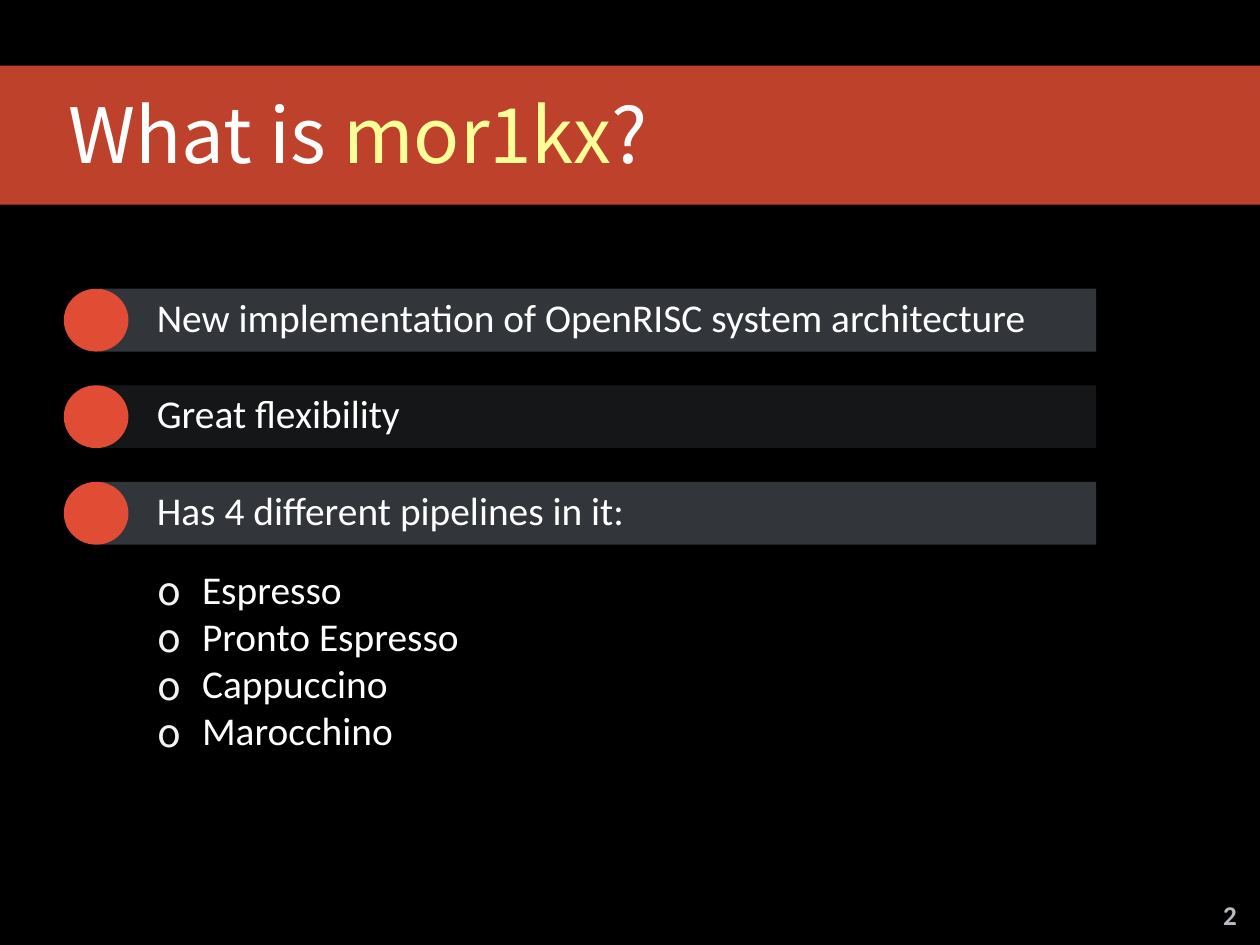
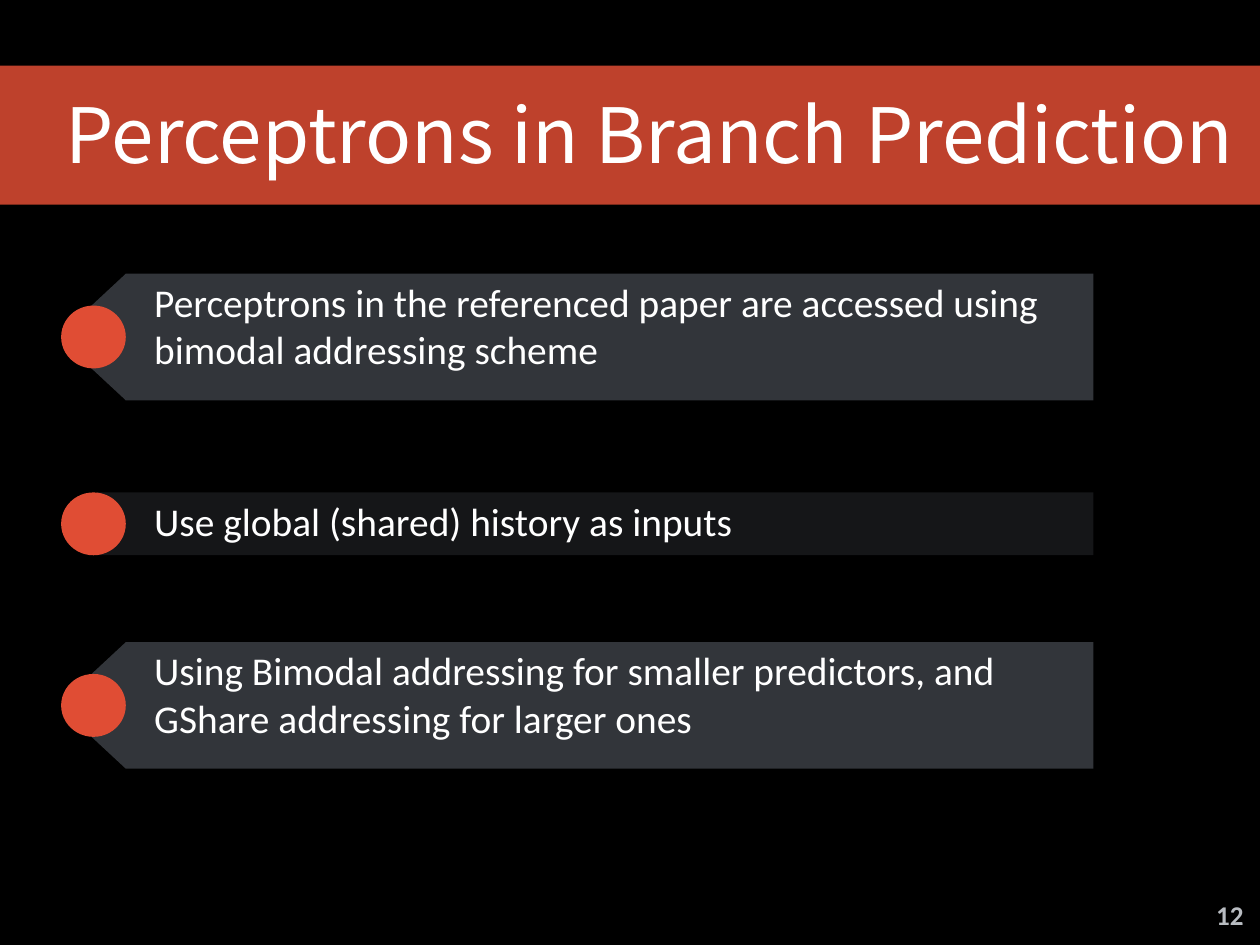
from dataclasses import dataclass

from lxml.etree import SubElement as Sub
from pptx import Presentation
from pptx.dml.color import RGBColor as RGB
from pptx.enum.shapes import MSO_SHAPE as Kind
from pptx.enum.text import MSO_ANCHOR as Anchor, PP_ALIGN as Align
from pptx.oxml.ns import qn
from pptx.util import Inches, Pt


@dataclass(frozen=True)
class Theme:
    back: str = "000000"
    accent: str = "E04D34"
    bar: str = "32353A"
    dim: str = "151618"
    white: str = "FFFFFF"
    mark: str = "FFFF99"
    bullet: str = "F2F2F2"
    page: str = "B8BCC1"
    head: str = "Noto Sans CJK SC"
    body: str = "Calibri"
    big: int = 62
    text: int = 32
    small: int = 22


T = Theme()
WIDE, HIGH = 14.22, 10.67
ROW = 0.71  # height of a one-line bar
DOT = 0.73  # width of a dot
TIP = 0.55  # depth of the slanted end of a tall bar


def shape(slide, kind, x, y, w, h, color, alpha=None):
    """Draw a plain filled shape without outline or shadow."""
    item = slide.shapes.add_shape(kind, Inches(x), Inches(y), Inches(w), Inches(h))
    item.shadow.inherit = False
    item.line.fill.background()
    item.fill.solid()
    item.fill.fore_color.rgb = RGB.from_string(color)
    if alpha:
        tone = item.fill._xPr.find(".//" + qn("a:srgbClr"))
        Sub(tone, qn("a:alpha"), val=str(alpha * 1000))
    return item


def dot_list(para):
    """Give a paragraph a round bullet and a hanging indent."""
    props = para._p.get_or_add_pPr()
    props.set("marL", str(Inches(0.5)))
    props.set("indent", str(-Inches(0.5)))
    Sub(Sub(props, qn("a:buClr")), qn("a:srgbClr"), val=T.bullet)
    Sub(props, qn("a:buFont"), typeface=T.head)
    Sub(props, qn("a:buChar"), char="o")


def write(slide, lines, x, y, w, h, font=T.body, size=T.text, color=T.white,
          bold=False, align=Align.LEFT, anchor=Anchor.TOP, inset=0.05,
          wrap=True, bullet=False):
    """Write lines; each is a string or a list of (text, color) runs."""
    frame = slide.shapes.add_textbox(
        Inches(x), Inches(y), Inches(w), Inches(h)).text_frame
    frame.word_wrap = wrap
    frame.vertical_anchor = anchor
    frame.margin_left = frame.margin_right = Inches(inset)
    frame.margin_top = frame.margin_bottom = Inches(inset)
    for i, line in enumerate(lines):
        para = frame.add_paragraph() if i else frame.paragraphs[0]
        para.alignment = align
        if bullet:
            dot_list(para)
        for part, tone in [(line, color)] if isinstance(line, str) else line:
            run = para.add_run()
            run.text = part
            run.font.name, run.font.size, run.font.bold = font, Pt(size), bold
            run.font.color.rgb = RGB.from_string(tone)


def base(deck, title, page, left):
    """Add a slide with its title band and page number."""
    slide = deck.slides.add_slide(deck.slide_layouts[6])
    slide.background.fill.solid()
    slide.background.fill.fore_color.rgb = RGB.from_string(T.back)
    shape(slide, Kind.RECTANGLE, -0.02, 0.74, WIDE + 0.02, 1.57, T.accent, alpha=85)
    write(slide, [title], left, 0.94, 13.5, 1.15, font=T.head, size=T.big)
    write(slide, [page], 13.64, 10.08, 0.48, 0.48, size=T.small, color=T.page,
          bold=True, align=Align.CENTER, inset=0.06, wrap=False)
    return slide


def point(slide, text, left, top, color, high=ROW):
    """Draw a bar with a dot at its left end; tall bars get a slanted tip."""
    tall = high > ROW
    start, end = left + (DOT if tall else 0.4), left + 11.65
    shape(slide, Kind.RECTANGLE, start, top, end - start, high, color)
    if tall:
        # The tip is turned on its centre so its narrow side faces left
        tip = shape(slide, Kind.TRAPEZOID, start - (TIP + high) / 2,
                    top + (high - TIP) / 2, high, TIP, color)
        tip.adjustments[0] = 0.93
        tip.rotation = 270
    shape(slide, Kind.OVAL, left, top + (high - ROW) / 2, DOT, ROW, T.accent)
    write(slide, [text], left + 1, top, end - left - 1, high)


def core(deck):
    """Slide on the processor core."""
    left = 0.72
    title = [("What is ", T.white), ("mor1kx", T.mark), ("?", T.white)]
    slide = base(deck, title, "2", left)
    points = [
        ("New implementation of OpenRISC system architecture", T.bar),
        ("Great flexibility", T.dim),
        ("Has 4 different pipelines in it:", T.bar),
    ]
    for i, (text, color) in enumerate(points):
        point(slide, text, left, 3.26 + 1.09 * i, color)
    write(slide, ["Espresso", "Pronto Espresso", "Cappuccino", "Marocchino"],
          left + 1, 6.31, 4.28, 2.27, anchor=Anchor.MIDDLE, inset=0.06, bullet=True)


def branch(deck):
    """Slide on branch prediction."""
    left, tall = 0.69, 1.43
    slide = base(deck, "Perceptrons in Branch Prediction", "12", left)
    points = [
        ("Perceptrons in the referenced paper are accessed using "
         "bimodal addressing scheme", 3.09, T.bar, tall),
        ("Use global (shared) history as inputs", 5.56, T.dim, ROW),
        ("Using Bimodal addressing for smaller predictors, and "
         "GShare addressing for larger ones", 7.25, T.bar, tall),
    ]
    for text, top, color, high in points:
        point(slide, text, left, top, color, high)


def main():
    deck = Presentation()
    deck.slide_width, deck.slide_height = Inches(WIDE), Inches(HIGH)
    core(deck)
    branch(deck)
    deck.save("out.pptx")


if __name__ == "__main__":
    main()
